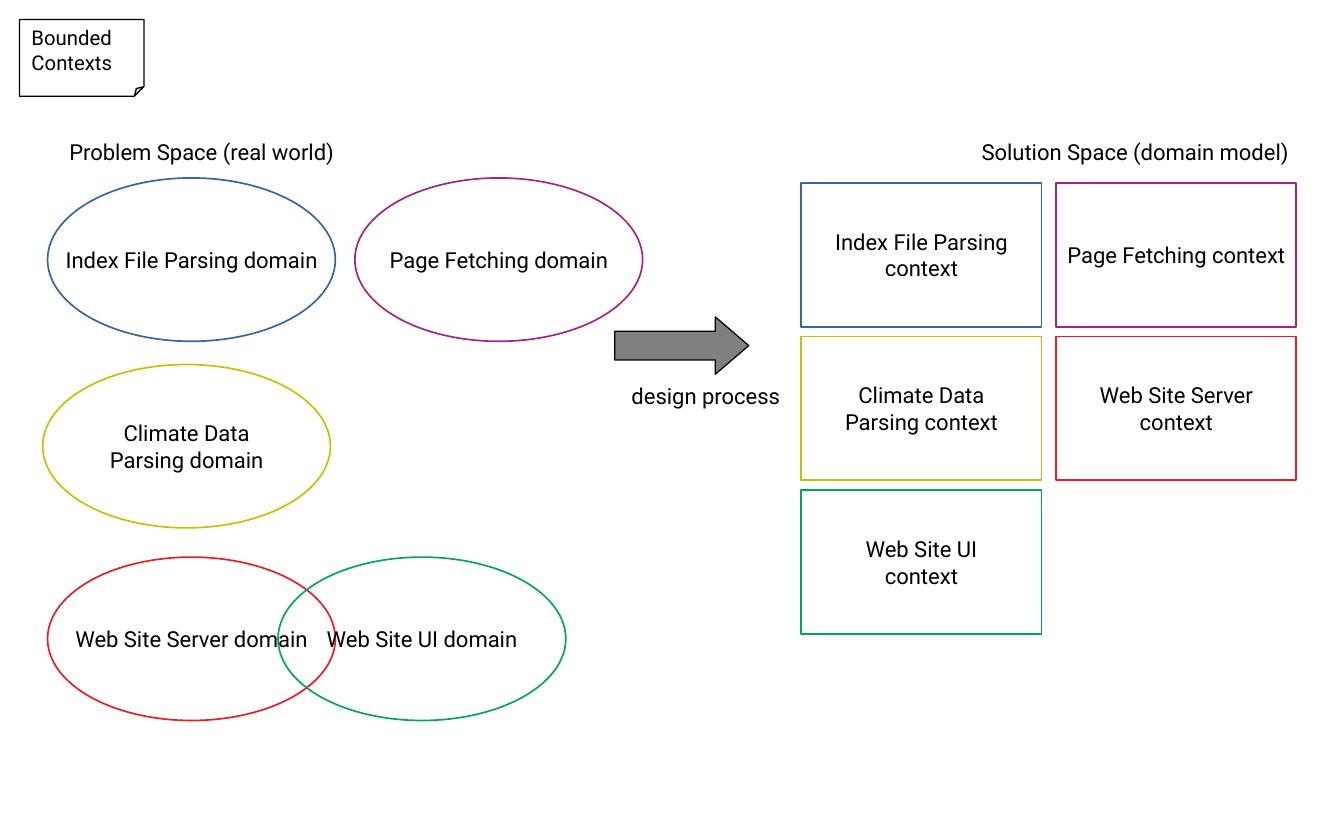
from lxml.etree import SubElement
from pptx import Presentation
from pptx.dml.color import RGBColor
from pptx.enum.shapes import MSO_SHAPE
from pptx.enum.text import MSO_ANCHOR, MSO_AUTO_SIZE, PP_ALIGN
from pptx.oxml.ns import qn
from pptx.util import Inches, Pt

BLUE = RGBColor(0x34, 0x65, 0xA4)
PURPLE = RGBColor(0xA3, 0x23, 0x8E)
YELLOW = RGBColor(0xCC, 0xBE, 0x00)
RED = RGBColor(0xED, 0x1C, 0x24)
GREEN = RGBColor(0x00, 0xA6, 0x5D)
GRAY = RGBColor(0x80, 0x80, 0x80)
BLACK = RGBColor(0, 0, 0)
WHITE = RGBColor(0xFF, 0xFF, 0xFF)
FONT = "Roboto"

NOTE = "Bounded\nContexts"
LABELS = [
    ("Problem Space (real world)", 0.47, 1.09, 2.46),
    ("Solution Space (domain model)", 7.95, 1.09, 2.82),
    ("design process", 5.08, 3.09, 1.46),
]
DOMAINS = [
    ("Index File Parsing domain", BLUE, 0.39, 1.46),
    ("Page Fetching domain", PURPLE, 2.91, 1.46),
    ("Climate Data\nParsing domain", YELLOW, 0.35, 2.99),
    ("Web Site Server domain", RED, 0.39, 4.57),
    ("Web Site UI domain", GREEN, 2.28, 4.57),
]
CONTEXTS = [
    ("Index File Parsing\ncontext", BLUE),
    ("Page Fetching context", PURPLE),
    ("Climate Data\nParsing context", YELLOW),
    ("Web Site Server\ncontext", RED),
    ("Web Site UI\ncontext", GREEN),
]
DOMAIN_SIZE = (2.36, 1.34)
CONTEXT_SIZE = (1.97, 1.18)
GRID_LEFT, GRID_TOP = 6.57, 1.5
COLUMN_STEP, ROW_STEP = 2.09, 1.26
COLUMNS = 2


def write(holder, text, size=13, align=PP_ALIGN.LEFT):
    frame = holder.text_frame
    frame.word_wrap = False
    frame.text = text
    for paragraph in frame.paragraphs:
        paragraph.alignment = align
        paragraph.font.name = FONT
        paragraph.font.size = Pt(size)
        paragraph.font.color.rgb = BLACK
    return frame


def add_outline(slide, preset, box, line_color, line_width, fill=None):
    outline = slide.shapes.add_shape(preset, *map(Inches, box))
    outline.shadow.inherit = False
    outline.line.color.rgb = line_color
    outline.line.width = Pt(line_width)
    if fill is None:
        outline.fill.background()
    else:
        outline.fill.solid()
        outline.fill.fore_color.rgb = fill
    return outline


def add_node(slide, preset, box, text, color, fill=None):
    node = add_outline(slide, preset, box, color, 1, fill)
    frame = write(node, text, align=PP_ALIGN.CENTER)
    frame.vertical_anchor = MSO_ANCHOR.MIDDLE
    frame.margin_left = frame.margin_right = Inches(0.11)
    frame.margin_top = frame.margin_bottom = Inches(0.06)


def main():
    deck = Presentation()
    deck.slide_width, deck.slide_height = Inches(11.02), Inches(6.89)
    slide = deck.slides.add_slide(deck.slide_layouts[6])

    note = add_outline(slide, MSO_SHAPE.FOLDED_CORNER, (0.16, 0.16, 1.02, 0.63), BLACK, 0, WHITE)
    fold = next(note.element.iter(qn("a:avLst")))
    SubElement(fold, qn("a:gd"), name="adj", fmla="val 12500")
    write(note, NOTE, size=12).vertical_anchor = MSO_ANCHOR.TOP

    for text, color, left, top in DOMAINS:
        add_node(slide, MSO_SHAPE.OVAL, (left, top, *DOMAIN_SIZE), text, color)

    for index, (text, color) in enumerate(CONTEXTS):
        row, column = divmod(index, COLUMNS)
        left = GRID_LEFT + column * COLUMN_STEP
        top = GRID_TOP + row * ROW_STEP
        add_node(slide, MSO_SHAPE.RECTANGLE, (left, top, *CONTEXT_SIZE), text, color, WHITE)

    arrow = add_outline(slide, MSO_SHAPE.RIGHT_ARROW, (5.04, 2.6, 1.1, 0.47), BLACK, 0, GRAY)
    arrow.adjustments[0] = 0.5
    arrow.adjustments[1] = 0.583

    for text, left, top, width in LABELS:
        label = slide.shapes.add_textbox(*map(Inches, (left, top, width, 0.34)))
        write(label, text).auto_size = MSO_AUTO_SIZE.SHAPE_TO_FIT_TEXT

    deck.save("out.pptx")


if __name__ == "__main__":
    main()
